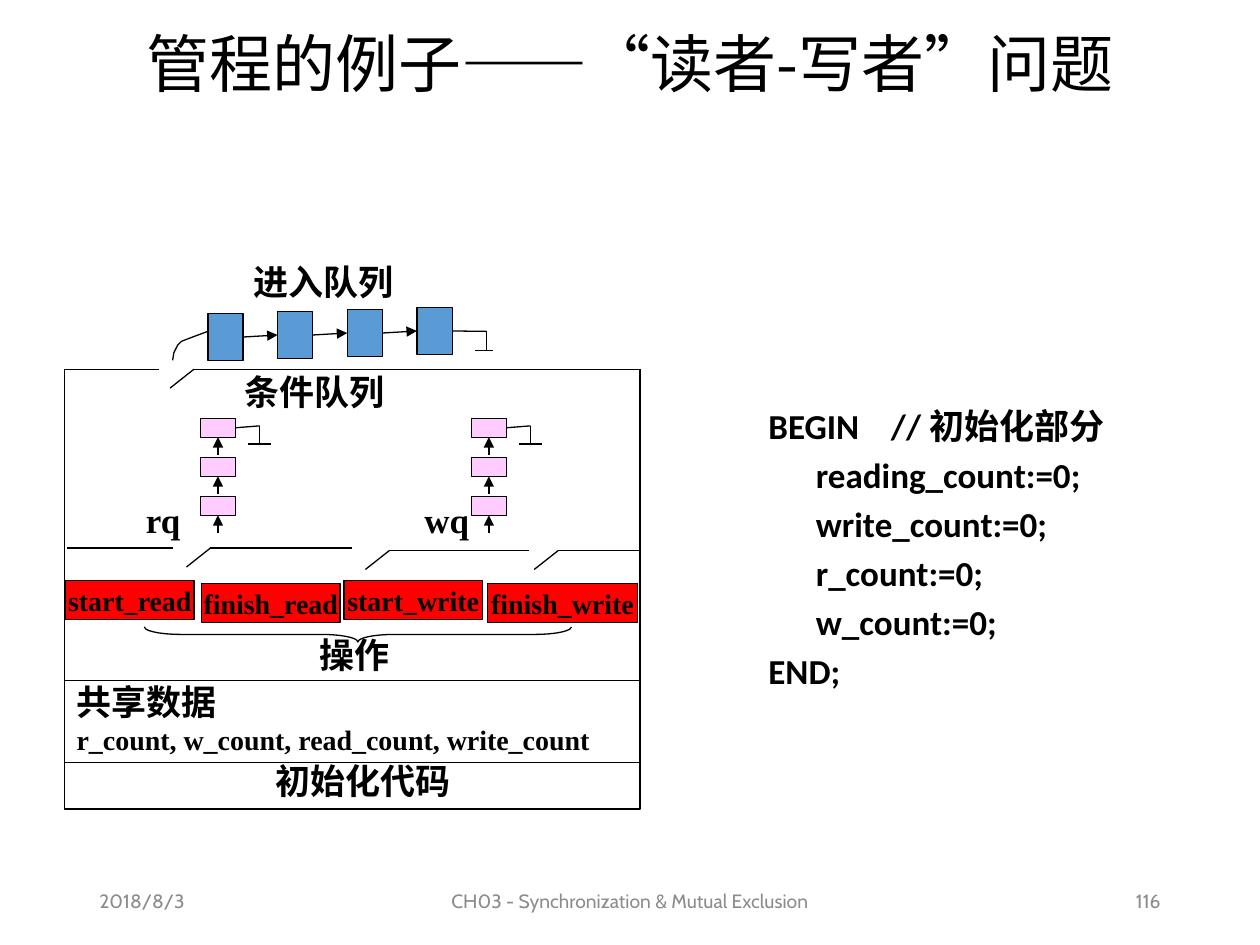
from dataclasses import dataclass
from typing import NamedTuple

import lxml.etree
import pptx
import pptx.dml.color
import pptx.enum.shapes
import pptx.enum.text
import pptx.oxml.ns
import pptx.util

Inches = pptx.util.Inches
Shape = pptx.enum.shapes.MSO_SHAPE
Align = pptx.enum.text.PP_ALIGN
Anchor = pptx.enum.text.MSO_ANCHOR
qn = pptx.oxml.ns.qn


@dataclass(frozen=True)
class Theme:
    ink: str = "000000"
    grey: str = "8C8C8C"
    blue: str = "5B9BD5"
    pink: str = "FFCCFF"
    red: str = "FF0000"
    title: int = 36
    head: int = 20
    code: int = 16
    foot: int = 11
    stroke: float = 0.75
    han: str = "Noto Sans CJK SC"
    serif: str = "Times New Roman"
    sans: str = "Calibri"
    small: str = "Cabin"


class Box(NamedTuple):
    x: float
    y: float
    w: float
    h: float

    def sub(self, x, y, w, h):
        return Box(self.x + x, self.y + y, w, h)

    def size(self):
        return [Inches(v) for v in self]


theme = Theme()


def tint(hue):
    return pptx.dml.color.RGBColor.from_string(hue)


def write(par, text, size, face, hue=theme.ink, bold=True):
    run = par.add_run()
    run.text = text
    font = run.font
    font.size = pptx.util.Pt(size)
    font.bold = bold
    font.color.rgb = tint(hue)
    font.name = face
    props = run._r.get_or_add_rPr()
    lxml.etree.SubElement(props, qn("a:ea"), typeface=theme.han)


def label(page, box, text, size=theme.head, face=theme.serif, hue=theme.ink,
          bold=True, align=Align.LEFT, anchor=Anchor.TOP):
    frame = page.shapes.add_textbox(*box.size()).text_frame
    frame.word_wrap = True
    frame.vertical_anchor = anchor
    par = frame.paragraphs[0]
    par.alignment = align
    write(par, text, size, face, hue, bold)
    return frame


def ink(shape, fill=None):
    shape.shadow.inherit = False
    if fill:
        shape.fill.solid()
        shape.fill.fore_color.rgb = tint(fill)
    else:
        shape.fill.background()
    shape.line.color.rgb = tint(theme.ink)
    shape.line.width = pptx.util.Pt(theme.stroke)
    return shape


def block(page, box, fill=None, kind=Shape.RECTANGLE):
    return ink(page.shapes.add_shape(kind, *box.size()), fill)


def line(page, box, x1, y1, x2, y2, arrow=False):
    ends = box.x + x1, box.y + y1, box.x + x2, box.y + y2
    link = page.shapes.add_connector(
        pptx.enum.shapes.MSO_CONNECTOR.STRAIGHT, *map(Inches, ends))
    link.line.color.rgb = tint(theme.ink)
    link.line.width = pptx.util.Pt(theme.stroke)
    if arrow:
        lxml.etree.SubElement(link.line._get_or_add_ln(), qn("a:tailEnd"), type="triangle")
    lxml.etree.SubElement(link._element.spPr, qn("a:effectLst"))
    return link


def ground(page, box, last, x, y, drop, left, right):
    wire = line(page, box, x, y, x, y)
    wire.begin_connect(last, 3)
    line(page, box, x, y, x, y + drop)
    line(page, box, x - left, y + drop, x + right, y + drop)


def gate(page, box, x, y, end):
    line(page, box, x, y, x - 0.19, y + 0.15)
    line(page, box, x, y, end, y)


def entry(page, box):
    label(page, box.sub(0.54, 0, 1.45, 0.43), "进入队列")
    cells = [block(page, box.sub(0.28 + 0.553 * i, 0.47 - 0.016 * i, 0.28, 0.37), theme.blue)
             for i in range(4)]
    for left, right in zip(cells, cells[1:]):
        link = line(page, box, 0, 0, 1, 0, True)
        link.begin_connect(left, 3)
        link.end_connect(right, 1)
    ground(page, box, cells[-1], 2.49, 0.61, 0.15, 0.09, 0.05)
    curve = [(0, 0.84), (0.01, 0.78), (0.04, 0.72), (0.07, 0.69),
             (0.12, 0.67), (0.2, 0.64), (0.28, 0.61)]
    points = [(Inches(box.x + x), Inches(box.y + y)) for x, y in curve]
    path = page.shapes.build_freeform(*points[0])
    path.add_line_segments(points[1:], close=False)
    ink(path.convert_to_shape())


def queue(page, box, name, width):
    label(page, box.sub(0, 0.59, width, 0.43), name)
    mid = box.w - 0.14
    cells = [block(page, box.sub(box.w - 0.28, 0.31 * i, 0.28, 0.15), theme.pink)
             for i in range(3)]
    for i, cell in enumerate(cells):
        link = line(page, box, mid, 0.31 * i + 0.29, mid, 0.31 * i + 0.15, True)
        link.end_connect(cell, 2)
    ground(page, box, cells[0], box.w + 0.19, 0.06, 0.145, 0.09, 0.09)


def tasks(page, box):
    items = [("start_read", 0.01, 0, 1.02), ("finish_read", 1.09, 0.02, 1.1),
             ("start_write", 2.22, 0, 1.1), ("finish_write", 3.36, 0.02, 1.19)]
    for name, x, y, width in items:
        frame = block(page, box.sub(x, y, width, 0.31), theme.red).text_frame
        frame.word_wrap = False
        frame.vertical_anchor = Anchor.MIDDLE
        par = frame.paragraphs[0]
        par.alignment = Align.CENTER
        write(par, name, theme.code, theme.serif)
    brace = block(page, box.sub(2.27, -1.27, 0.12, 3.39), kind=Shape.RIGHT_BRACE)
    brace.rotation = 90
    brace.adjustments[0] = 2.43
    label(page, box.sub(1.93, 0.37, 0.83, 0.43), "操作")


def data(page, box):
    block(page, box)
    line(page, box, 0, 0.65, box.w, 0.65)
    frame = label(page, box.sub(0, -0.05, 4.41, 0.7), "共享数据")
    write(frame.add_paragraph(), "r_count, w_count, read_count, write_count",
          theme.code, theme.serif)
    label(page, box.sub(1.58, 0.58, 1.7, 0.43), "初始化代码")


def monitor(page, box):
    for x in (0, box.w):
        line(page, box, x, 0, x, 2.55)
    line(page, box, 0, 0, 0.75, 0)
    line(page, box, 0.02, 1.42, 0.86, 1.42)
    for x, y, end in [(1.03, 0, box.w), (1.16, 1.42, 2.28),
                      (2.58, 1.44, 3.69), (3.92, 1.44, box.w)]:
        gate(page, box, x, y, end)
    label(page, box.sub(1.21, -0.04, 1.55, 0.43), "条件队列", align=Align.CENTER)
    queue(page, box.sub(0.55, 0.39, 0.81, 1), "rq", 0.57)
    queue(page, box.sub(2.76, 0.39, 0.75, 1), "wq", 0.63)
    tasks(page, box.sub(0, 1.68, box.w, 0.8))
    data(page, box.sub(0, 2.47, box.w, 1.02))


def listing(page, box):
    frame = label(page, box, "BEGIN    // 初始化部分", face=theme.sans)
    names = ["reading_count", "write_count", "r_count", "w_count"]
    for text in [f"      {name}:=0;" for name in names] + ["END;"]:
        par = frame.add_paragraph()
        par.space_before = pptx.util.Pt(4)
        write(par, text, theme.head, theme.sans)


def header(page, box):
    frame = label(page, box, "管程的例子——“读者-写者”问题", theme.title, theme.han,
                  bold=False, align=Align.CENTER, anchor=Anchor.MIDDLE)
    frame.paragraphs[0].line_spacing = 0.9


def footer(page, box):
    for text, x, width, align in [
            ("2018/8/3", 0, 2.25, Align.LEFT),
            ("CH03 - Synchronization & Mutual Exclusion", 2.62, 3.38, Align.CENTER),
            ("116", 6.37, 2.25, Align.RIGHT)]:
        label(page, box.sub(x, 0, width, box.h), text, theme.foot, theme.small,
              theme.grey, False, align, Anchor.MIDDLE)


def main():
    deck = pptx.Presentation()
    deck.slide_width, deck.slide_height = Inches(10), Inches(7.5)
    page = deck.slides.add_slide(deck.slide_layouts[6])
    header(page, Box(0.69, 0.15, 8.62, 0.76))
    entry(page, Box(1.37, 2.02, 2.54, 0.84))
    monitor(page, Box(0.51, 2.93, 4.57, 3.49))
    listing(page, Box(6, 3.16, 3.19, 2.46))
    footer(page, Box(0.69, 6.95, 8.62, 0.4))
    deck.save("out.pptx")


if __name__ == "__main__":
    main()
